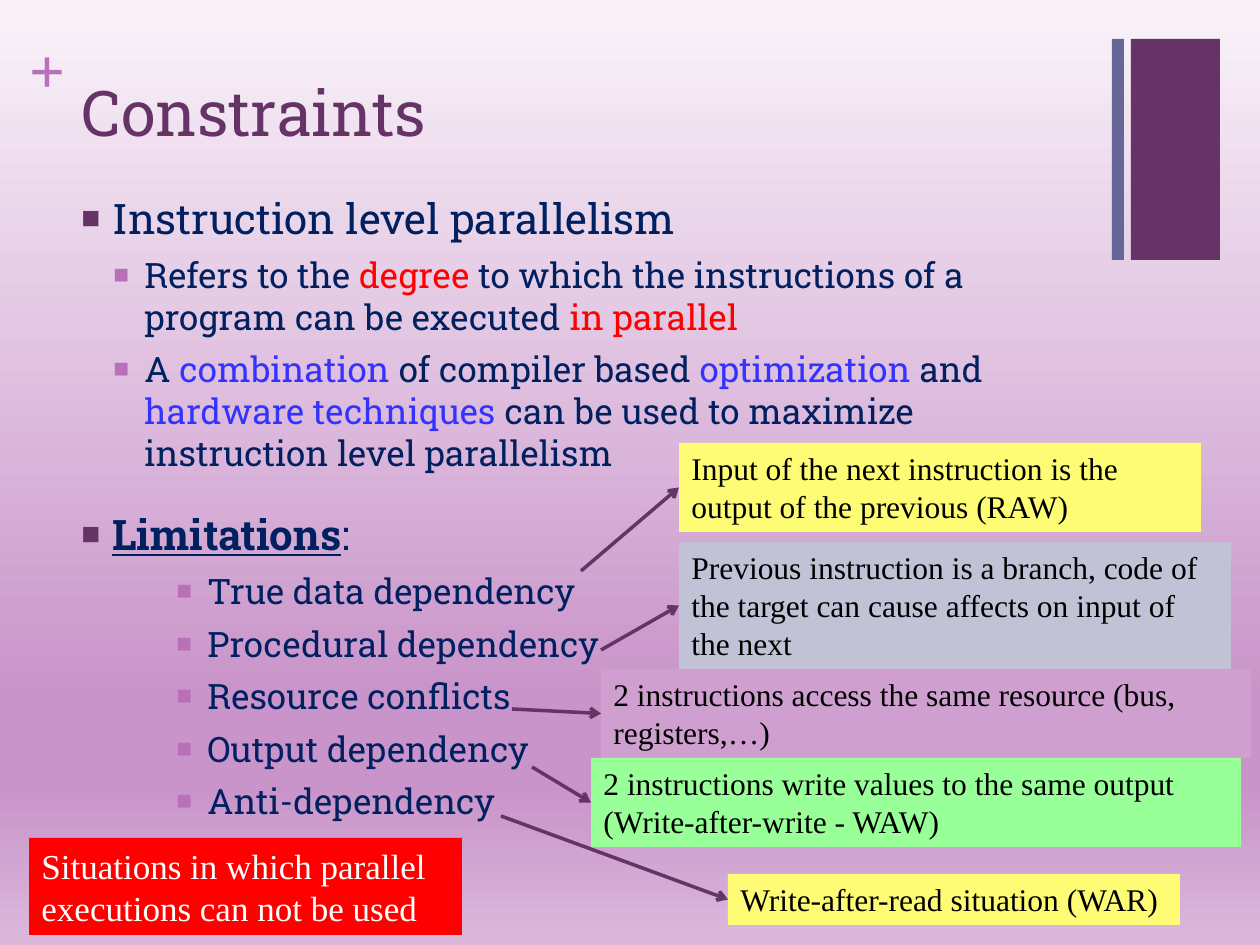
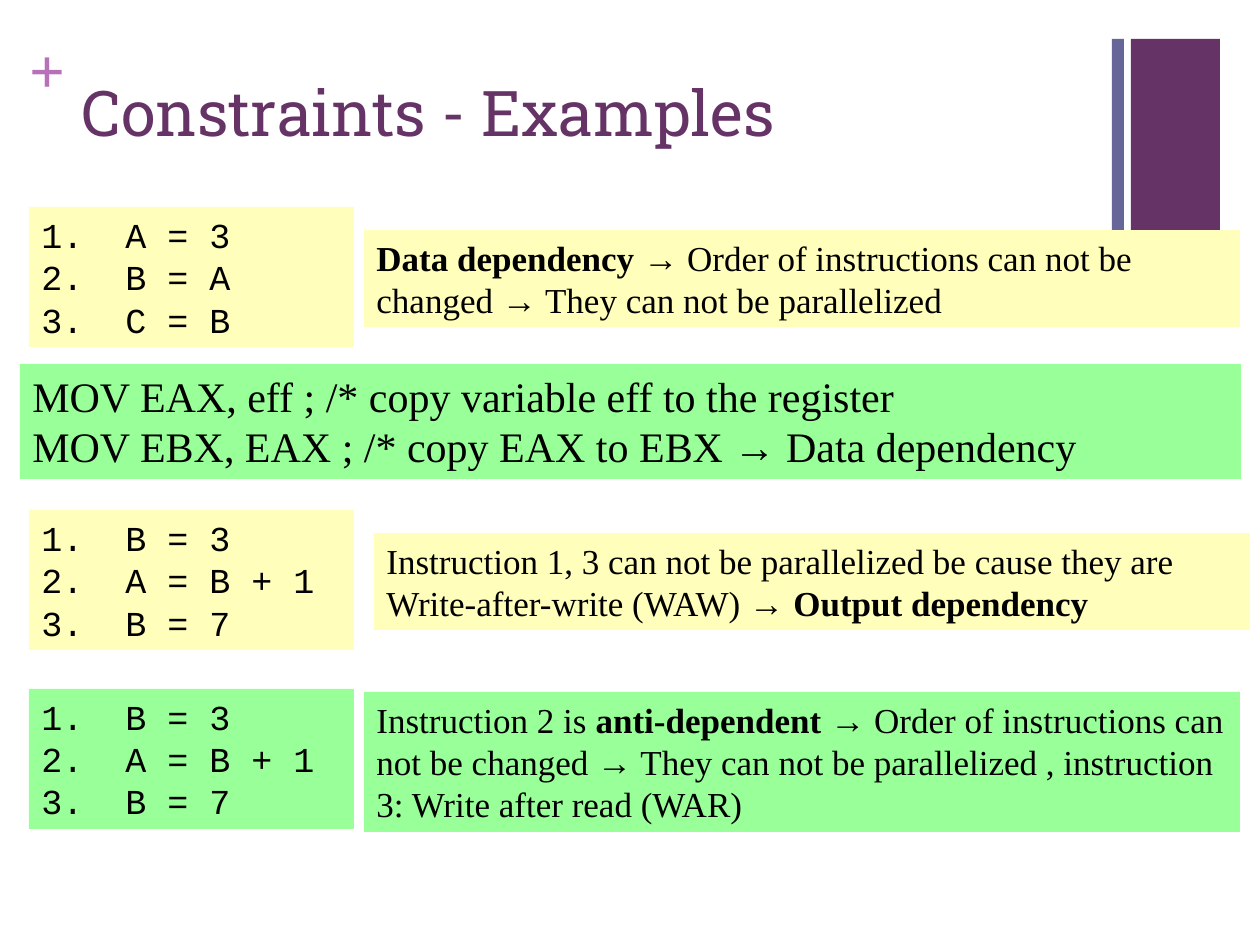
from lxml.etree import SubElement
from pptx import Presentation
from pptx.dml.color import RGBColor
from pptx.enum.shapes import MSO_CONNECTOR as Connector, MSO_SHAPE as Shape
from pptx.enum.text import MSO_ANCHOR as Anchor, MSO_AUTO_SIZE as AutoSize, PP_ALIGN as Align
from pptx.oxml.ns import qn
from pptx.util import Emu, Pt

PLUM, ORCHID, SLATE = "663366", "B870B8", "666699"
NAVY, RED, BLUE = "002060", "FF0000", "3333FF"
YELLOW, CREAM, GREEN = "FEFC75", "FFFEBA", "99FF99"
SERIF, SLAB, MONO = "Times New Roman", "Roboto Slab", "Courier New"
TITLE = dict(size=36, name=SLAB, color=PLUM)
BODY = dict(name=SLAB, color=NAVY)
NOTE = dict(size=18, name=SERIF, color="000000")
EXAMPLE = NOTE | dict(size=20)
CODE = EXAMPLE | dict(name=MONO)
BOLD = dict(bold=True)


def px(value):
    return Emu(round(value * 914400 / 126))


def rgb(value):
    return RGBColor.from_string(value)


def add_runs(paragraph, runs, base):
    for item in [runs] if isinstance(runs, str) else runs:
        text, changes = (item, {}) if isinstance(item, str) else item
        run = paragraph.add_run()
        run.text = text
        for key, value in (base | changes).items():
            if key == "color":
                run.font.color.rgb = rgb(value)
            else:
                setattr(run.font, key, Pt(value) if key == "size" else value)


def write(shape, paragraphs, base, **frame_format):
    frame = shape.text_frame
    settings = dict(word_wrap=True, auto_size=AutoSize.NONE, vertical_anchor=Anchor.TOP)
    for key, value in (settings | frame_format).items():
        setattr(frame, key, value)
    for index, runs in enumerate(paragraphs):
        paragraph = frame.add_paragraph() if index else frame.paragraphs[0]
        paragraph.alignment = Align.LEFT
        add_runs(paragraph, runs, base)
    return frame.paragraphs


def set_indent(paragraph, left, hanging):
    properties = paragraph._p.get_or_add_pPr()
    properties.set("marL", str(px(left)))
    properties.set("indent", str(-px(hanging)))
    return properties


def add_square_bullet(paragraph, level):
    paragraph.level = level
    paragraph.space_before = Pt(6 if level else 20)
    properties = set_indent(paragraph, 63 * (level + 1) // 2, 31)
    color = SubElement(properties, qn("a:buClr"))
    SubElement(color, qn("a:srgbClr"), val=ORCHID if level else PLUM)
    SubElement(properties, qn("a:buSzPct"), val="75000")
    SubElement(properties, qn("a:buFont"), typeface="Arial")
    SubElement(properties, qn("a:buChar"), char="■")


def add_block(slide, box, color):
    shape = slide.shapes.add_shape(Shape.RECTANGLE, *map(px, box))
    shape.shadow.inherit = False
    shape.fill.solid()
    shape.fill.fore_color.rgb = rgb(color)
    shape.line.fill.background()
    return shape


def add_note(slide, box, color, paragraphs, base=NOTE, **frame_format):
    shape = add_block(slide, box, color)
    write(shape, paragraphs, base, auto_size=AutoSize.SHAPE_TO_FIT_TEXT, **frame_format)
    return shape


def add_arrow(slide, start, target):
    end = target.left, target.top + target.height // 2
    arrow = slide.shapes.add_connector(Connector.STRAIGHT, *map(px, start), *end)
    arrow.end_connect(target, 1)
    arrow.line.color.rgb = rgb(PLUM)
    arrow.line.width = Pt(2)
    SubElement(arrow.line._get_or_add_ln(), qn("a:tailEnd"), type="arrow")
    SubElement(arrow._element.spPr, qn("a:effectLst"))


def add_titled_slide(presentation, title):
    slide = presentation.slides.add_slide(presentation.slide_layouts[5])
    add_block(slide, (1131, 39, 89, 221), PLUM)
    add_block(slide, (1112, 39, 12, 221), SLATE)
    plus = slide.shapes.add_textbox(*map(px, (30, 31, 37, 77)))
    margins = {f"margin_{side}": 0 for side in ("left", "top", "right", "bottom")}
    write(plus, ["+"], dict(size=36, name=SERIF, color=ORCHID, bold=True), **margins)
    heading = slide.shapes.title
    for key, value in zip(("left", "top", "width", "height"), (69, 67, 1041, 154)):
        setattr(heading, key, px(value))
    write(heading, [title], TITLE)
    return slide


def set_gradient(slide, stops):
    slide.background.fill.gradient()
    stop_list = next(slide.element.iter(qn("a:gsLst")))
    for old_stop in list(stop_list):
        stop_list.remove(old_stop)
    for percent, color in stops:
        stop = SubElement(stop_list, qn("a:gs"), pos=str(percent * 1000))
        SubElement(stop, qn("a:srgbClr"), val=color)
    next(slide.element.iter(qn("a:lin"))).set("ang", "5400000")


def add_outline(slide, box, items):
    shape = slide.shapes.add_textbox(*map(px, box))
    paragraphs = write(shape, [[] for _ in items], BODY)
    for paragraph, (level, runs) in zip(paragraphs, items):
        add_square_bullet(paragraph, level)
        add_runs(paragraph, runs, BODY | dict(size=20 if level else 24))


def add_example(slide, box, color, code, note_offset, note_height, note):
    left, top, width, height = box
    listing = add_note(slide, box, color, code, CODE, vertical_anchor=Anchor.MIDDLE)
    for paragraph in listing.text_frame.paragraphs:
        properties = set_indent(paragraph, 84, 84)
        SubElement(properties, qn("a:buFont"), typeface=MONO)
        SubElement(properties, qn("a:buAutoNum"), type="arabicPeriod")
    across, down = note_offset
    add_note(slide, (left + across, top + down, 876, note_height), color, [note], EXAMPLE)


def build_constraints(presentation):
    slide = add_titled_slide(presentation, "Constraints")
    set_gradient(slide, [(0, "F9F3F9"), (74, "C994C9"), (83, "C994C9"), (100, "DBB8DB")])
    red, blue = dict(color=RED), dict(color=BLUE)
    dependencies = [
        ("True data dependency", (581, 571), (679, 443, 522, 89), YELLOW,
         "Input of the next instruction is the output of the previous (RAW)"),
        ("Procedural dependency", (601, 650), (679, 542, 552, 127), "C2C2D6",
         "Previous instruction is a branch, code of the target can cause affects on input of the next"),
        ("Resource conflicts", (512, 709), (601, 669, 650, 89), "CFA0CF",
         "2 instructions access the same resource (bus, registers,…)"),
        ("Output dependency", (532, 767), (591, 758, 650, 89), GREEN,
         "2 instructions write values to the same output (Write-after-write - WAW)"),
        ("Anti-dependency", (501, 816), (728, 874, 452, 51), YELLOW,
         "Write-after-read situation (WAR)"),
    ]
    add_outline(slide, (69, 186, 1041, 658), [
        (0, "Instruction level parallelism"),
        (1, ["Refers to the ", ("degree", red),
             " to which the instructions of a program can be executed ", ("in parallel", red)]),
        (1, ["A ", ("combination ", blue), "of compiler based ", ("optimization", blue),
             " and ", ("hardware techniques ", blue),
             "can be used to maximize instruction level parallelism"]),
        (0, [("Limitations", dict(bold=True, underline=True)), ":"]),
        *((3, name) for name, *_ in dependencies),
    ])
    notes = [add_note(slide, box, color, [text]) for _, _, box, color, text in dependencies]
    for (_, start, *_), note in zip(dependencies, notes):
        add_arrow(slide, start, note)
    add_note(slide, (29, 838, 433, 97), RED,
             ["Situations in which parallel executions can not be used"],
             EXAMPLE | dict(color="FFFFFF"))


def build_examples(presentation):
    slide = add_titled_slide(presentation, "Constraints - Examples")
    slide.background.fill.solid()
    slide.background.fill.fore_color.rgb = rgb("FFFFFF")
    rewrite = ["B = 3", "A = B + 1", "B = 7"]
    examples = [
        (207, CREAM, ["A = 3", "B = A", "C = B"], (335, 23), 97,
         [("Data dependency ", BOLD),
          "→ Order of instructions can not be changed → They can not be parallelized"]),
        (510, CREAM, rewrite, (345, 23), 97,
         ["Instruction 1, 3 can not be parallelized be cause they are Write-after-write (WAW) → ",
          ("Output dependency", BOLD)]),
        (689, GREEN, rewrite, (335, 3), 140,
         ["Instruction 2 is ", ("anti-dependent ", BOLD),
          "→ Order of instructions can not be changed → They can not be parallelized , "
          "instruction 3: Write after read (WAR)"]),
    ]
    for top, *example in examples:
        add_example(slide, (29, top, 325, 140), *example)
    add_note(slide, (20, 364, 1221, 115), GREEN, [
        "MOV EAX, eff ; /* copy variable eff to the register",
        "MOV EBX, EAX ; /* copy EAX to EBX → Data dependency",
    ], NOTE | dict(size=24))


def main():
    presentation = Presentation()
    presentation.slide_width, presentation.slide_height = px(1260), px(945)
    build_constraints(presentation)
    build_examples(presentation)
    presentation.save("out.pptx")


if __name__ == "__main__":
    main()
